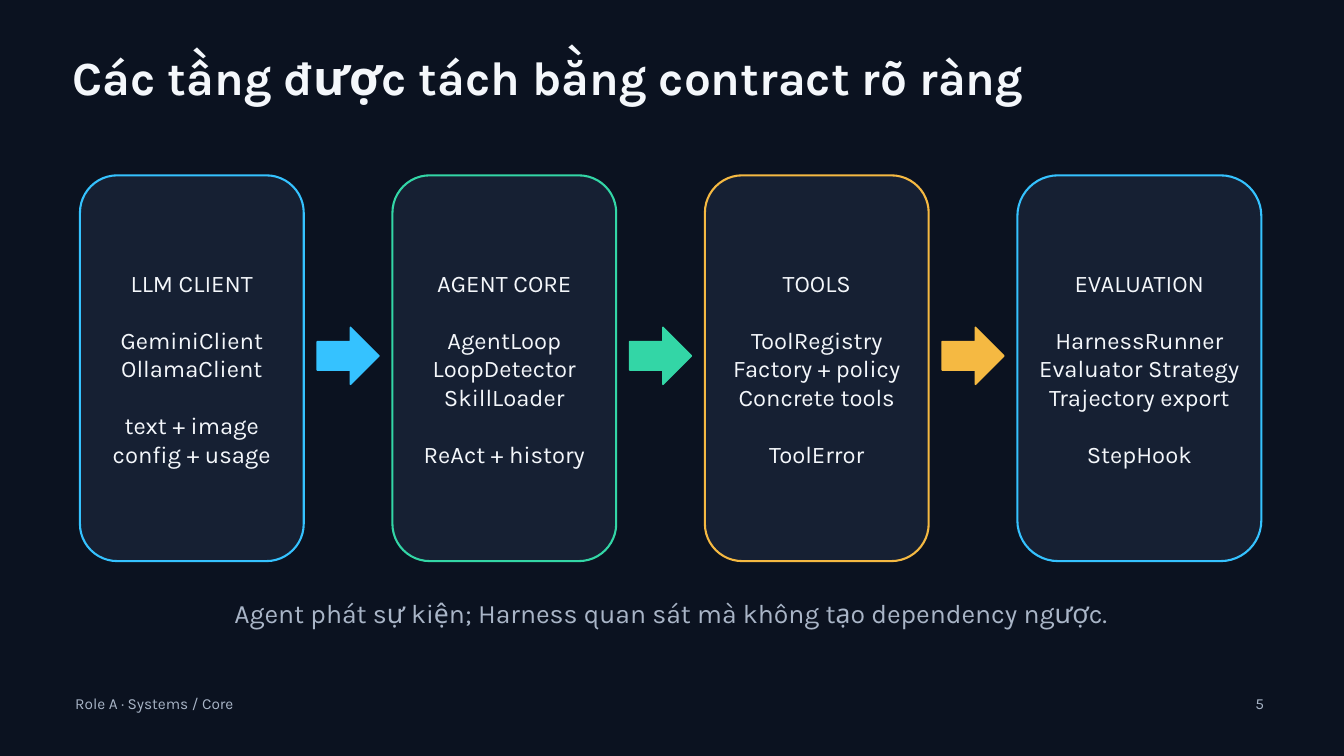
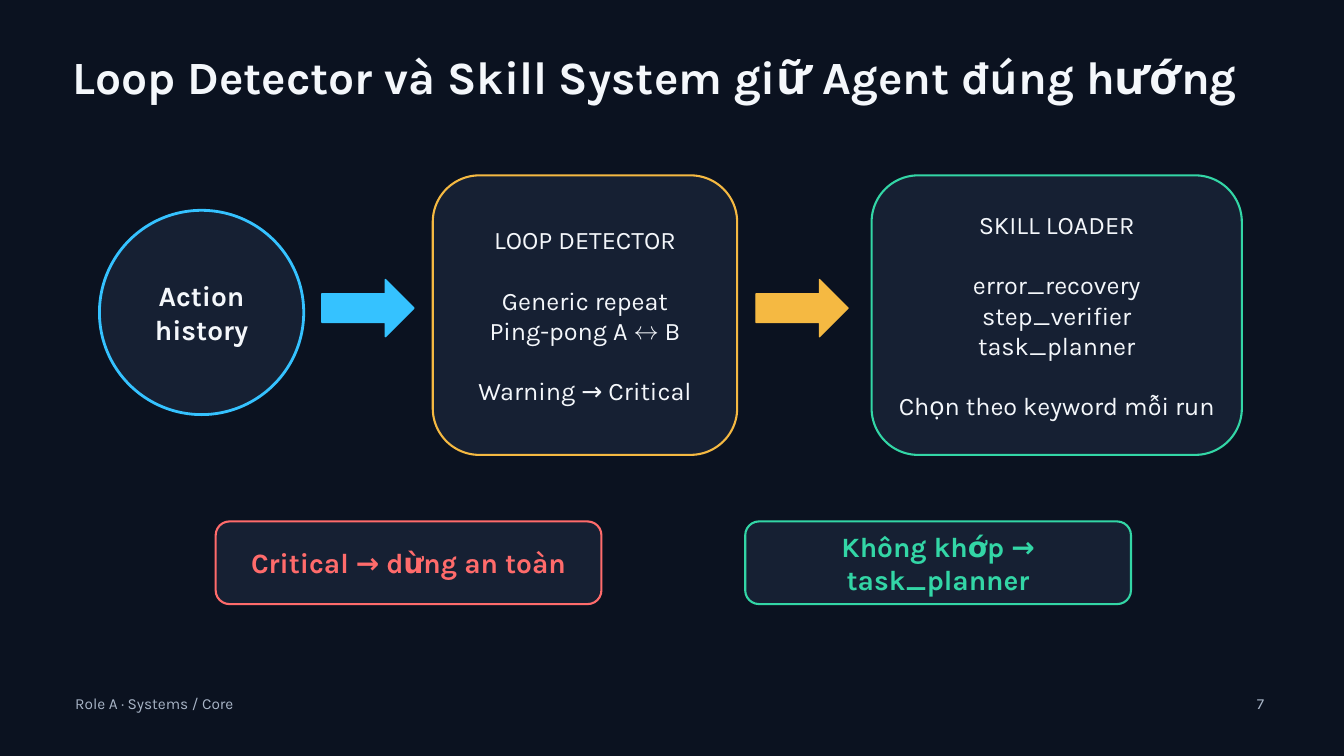
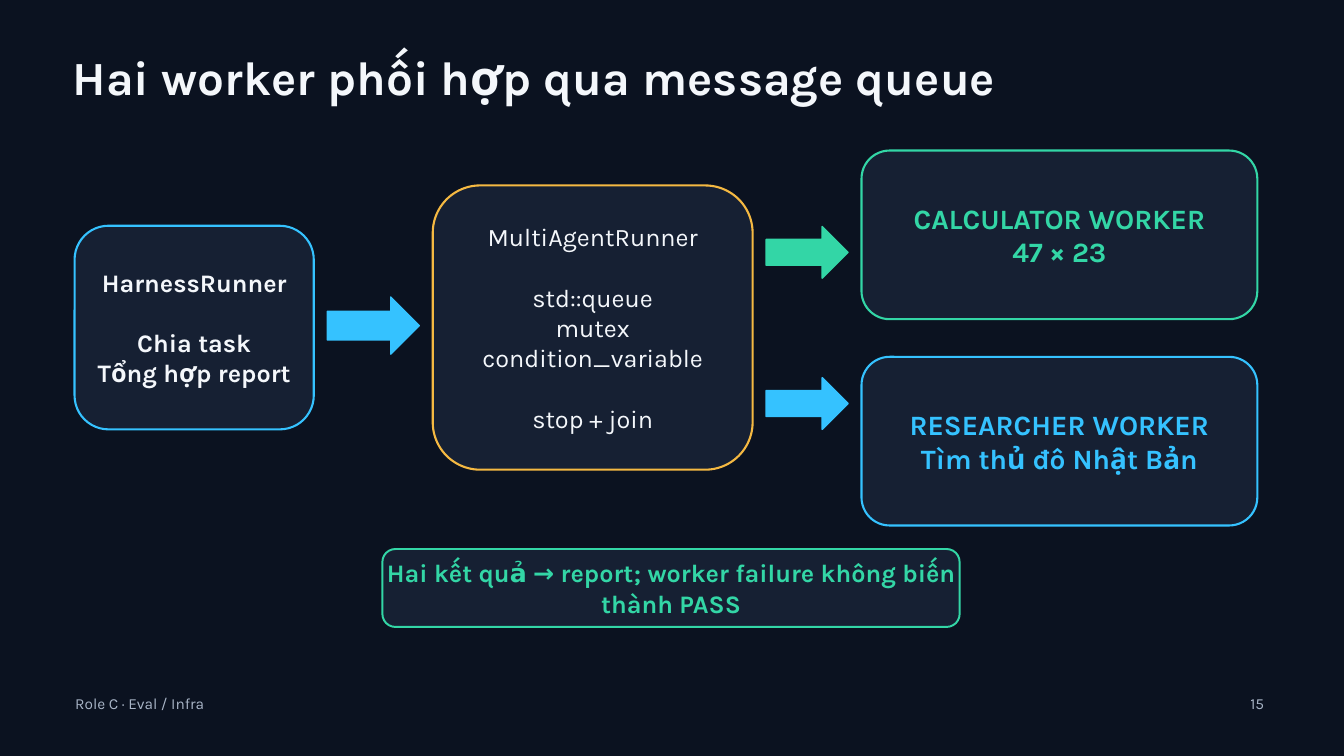
from pptx import Presentation
from pptx.dml.color import RGBColor
from pptx.enum.shapes import MSO_SHAPE
from pptx.enum.text import MSO_ANCHOR, MSO_AUTO_SIZE, PP_ALIGN
from pptx.util import Inches, Pt

ROUNDED, OVAL, ARROW = MSO_SHAPE.ROUNDED_RECTANGLE, MSO_SHAPE.OVAL, MSO_SHAPE.RIGHT_ARROW
LEFT, CENTER, RIGHT = PP_ALIGN.LEFT, PP_ALIGN.CENTER, PP_ALIGN.RIGHT
TOP, MIDDLE = MSO_ANCHOR.TOP, MSO_ANCHOR.MIDDLE
NO_AUTOFIT = MSO_AUTO_SIZE.NONE

FONT = "Karla"
NAVY, PANEL, WHITE, MUTED = "0B1220", "162033", "F4F7FB", "A9B5C7"
BLUE, GREEN, AMBER, RED = "35C2FF", "33D6A6", "F5B942", "FF6B6B"
LINE_HEIGHT = 1.2
GAP = 0.2

LAYERS = [
    (BLUE, 3.33, [["LLM CLIENT"], ["GeminiClient", "OllamaClient"],
                  ["text + image", "config + usage"]]),
    (GREEN, 3.33, [["AGENT CORE"], ["AgentLoop", "LoopDetector", "SkillLoader"],
                   ["ReAct + history"]]),
    (AMBER, 3.33, [["TOOLS"], ["ToolRegistry", "Factory + policy", "Concrete tools"],
                   ["ToolError"]]),
    (BLUE, 3.63, [["EVALUATION"], ["HarnessRunner", "Evaluator Strategy", "Trajectory export"],
                  ["StepHook"]]),
]
LAYER_NOTE = "Agent phát sự kiện; Harness quan sát mà không tạo dependency ngược."

HISTORY = [["Action", "history"]]
GUARDS = [
    (AMBER, 6.44, 4.53, [["LOOP DETECTOR"], ["Generic repeat", "Ping-pong A ↔ B"],
                         ["Warning → Critical"]]),
    (GREEN, 12.97, 5.51, [["SKILL LOADER"], ["error_recovery", "step_verifier", "task_planner"],
                          ["Chọn theo keyword mỗi run"]]),
]
OUTCOMES = [
    (RED, 3.21, "Critical → dừng an toàn"),
    (GREEN, 11.09, "Không khớp → task_planner"),
]

HARNESS = [["HarnessRunner"], ["Chia task", "Tổng hợp report"]]
RUNNER = [["MultiAgentRunner"], ["std::queue", "mutex", "condition_variable"], ["stop + join"]]
WORKERS = [
    (GREEN, 2.24, 3.37, [["CALCULATOR WORKER", "47 × 23"]]),
    (BLUE, 5.31, 5.62, [["RESEARCHER WORKER", "Tìm thủ đô Nhật Bản"]]),
]
REPORT_RULE = [["Hai kết quả → report; worker failure không biến thành PASS"]]


def rgb(color):
    return RGBColor.from_string(color)


def write(frame, groups, size, color=WHITE, bold=False, align=CENTER, anchor=MIDDLE):
    frame.word_wrap = True
    frame.auto_size = NO_AUTOFIT
    frame.vertical_anchor = anchor
    frame.margin_left = frame.margin_right = frame.margin_top = frame.margin_bottom = 0
    leading = Pt(size * LINE_HEIGHT)
    paragraph = None
    for group in groups:
        for position, line in enumerate(group):
            first = paragraph is None
            paragraph = frame.paragraphs[0] if first else frame.add_paragraph()
            paragraph.alignment = align
            paragraph.line_spacing = leading
            paragraph.space_before = Pt(0) if first or position else leading
            run = paragraph.add_run()
            run.text = line
            run.font.name = FONT
            run.font.size = Pt(size)
            run.font.bold = bold
            run.font.color.rgb = rgb(color)


def add_label(slide, box, text, size, **style):
    label = slide.shapes.add_textbox(*map(Inches, box))
    write(label.text_frame, [[text]], size, anchor=TOP, **style)


def add_outline(slide, kind, box, fill, line, weight):
    outline = slide.shapes.add_shape(kind, *map(Inches, box))
    outline.shadow.inherit = False
    outline.fill.solid()
    outline.fill.fore_color.rgb = rgb(fill)
    outline.line.color.rgb = rgb(line)
    outline.line.width = Pt(weight)
    return outline


def add_panel(slide, box, accent, groups, size, kind=ROUNDED, weight=2.25, **style):
    panel = add_outline(slide, kind, box, PANEL, accent, weight)
    write(panel.text_frame, groups, size, **style)


def add_arrow(slide, left, top, color, width=1.37, height=0.85):
    add_outline(slide, ARROW, (left, top, width, height), color, color, 1.5)


def start_slide(prs, title, role, number, title_size=51):
    slide = prs.slides.add_slide(prs.slide_layouts[5])
    heading = slide.shapes.title
    heading.left, heading.top, heading.width, heading.height = map(
        Inches, (1.08, 0.72, 17.81, 1.04))
    write(heading.text_frame, [[title]], title_size, bold=True, align=LEFT, anchor=TOP)
    add_label(slide, (1.12, 10.33, 4.9, 0.35), role, 16.5, color=MUTED, align=LEFT)
    add_label(slide, (18.26, 10.33, 0.55, 0.35), str(number), 16.5, color=MUTED, align=RIGHT)
    return slide


def build_layers(prs):
    slide = start_slide(prs, "Các tầng được tách bằng contract rõ ràng",
                        "Role A · Systems / Core", 5)
    for index, (accent, width, groups) in enumerate(LAYERS):
        left = 1.19 + 4.65 * index
        add_panel(slide, (left, 2.61, width, 5.74), accent, groups, 25.5)
        if index < len(LAYERS) - 1:
            add_arrow(slide, left + width + GAP, 4.87, accent, width=0.92)
    add_label(slide, (2.43, 8.88, 15.11, 0.62), LAYER_NOTE, 28.5, color=MUTED)


def build_guards(prs):
    slide = start_slide(prs, "Loop Detector và Skill System giữ Agent đúng hướng",
                        "Role A · Systems / Core", 7, title_size=49.5)
    add_panel(slide, (1.48, 3.13, 3.04, 3.04), BLUE, HISTORY, 30,
              kind=OVAL, weight=3, bold=True)
    for left, color in ((4.79, BLUE), (11.25, AMBER)):
        add_arrow(slide, left, 4.16, color)
    for accent, left, width, groups in GUARDS:
        add_panel(slide, (left, 2.61, width, 4.16), accent, groups, 27)
    for accent, left, text in OUTCOMES:
        add_panel(slide, (left, 7.76, 5.74, 1.23), accent, [[text]], 30,
                  color=accent, bold=True)


def build_workers(prs):
    slide = start_slide(prs, "Hai worker phối hợp qua message queue",
                        "Role C · Eval / Infra", 15)
    add_panel(slide, (1.11, 3.36, 3.56, 3.03), BLUE, HARNESS, 27, bold=True)
    add_arrow(slide, 4.67 + GAP, 4.42, BLUE)
    add_panel(slide, (6.44, 2.76, 4.76, 4.23), AMBER, RUNNER, 27)
    for accent, top, arrow_top, groups in WORKERS:
        add_arrow(slide, 11.2 + GAP, arrow_top, accent, width=1.22, height=0.77)
        add_panel(slide, (12.82, top, 5.89, 2.51), accent, groups, 30,
                  color=accent, bold=True)
    add_panel(slide, (5.69, 8.17, 8.59, 1.16), GREEN, REPORT_RULE, 27,
              weight=2.1, color=GREEN, bold=True)


def main():
    prs = Presentation()
    prs.slide_width, prs.slide_height = Inches(20), Inches(11.25)
    backdrop = prs.slide_master.background.fill
    backdrop.solid()
    backdrop.fore_color.rgb = rgb(NAVY)
    build_layers(prs)
    build_guards(prs)
    build_workers(prs)
    prs.save("out.pptx")


if __name__ == "__main__":
    main()
